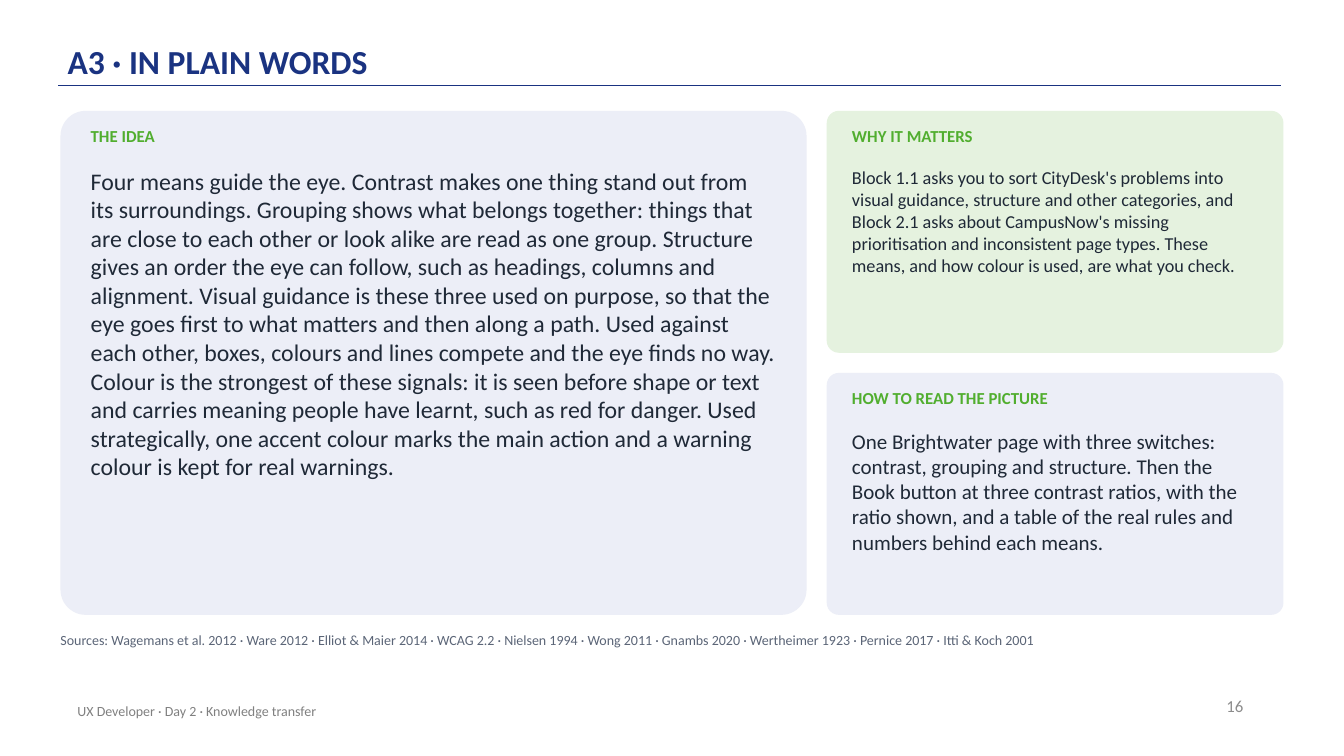
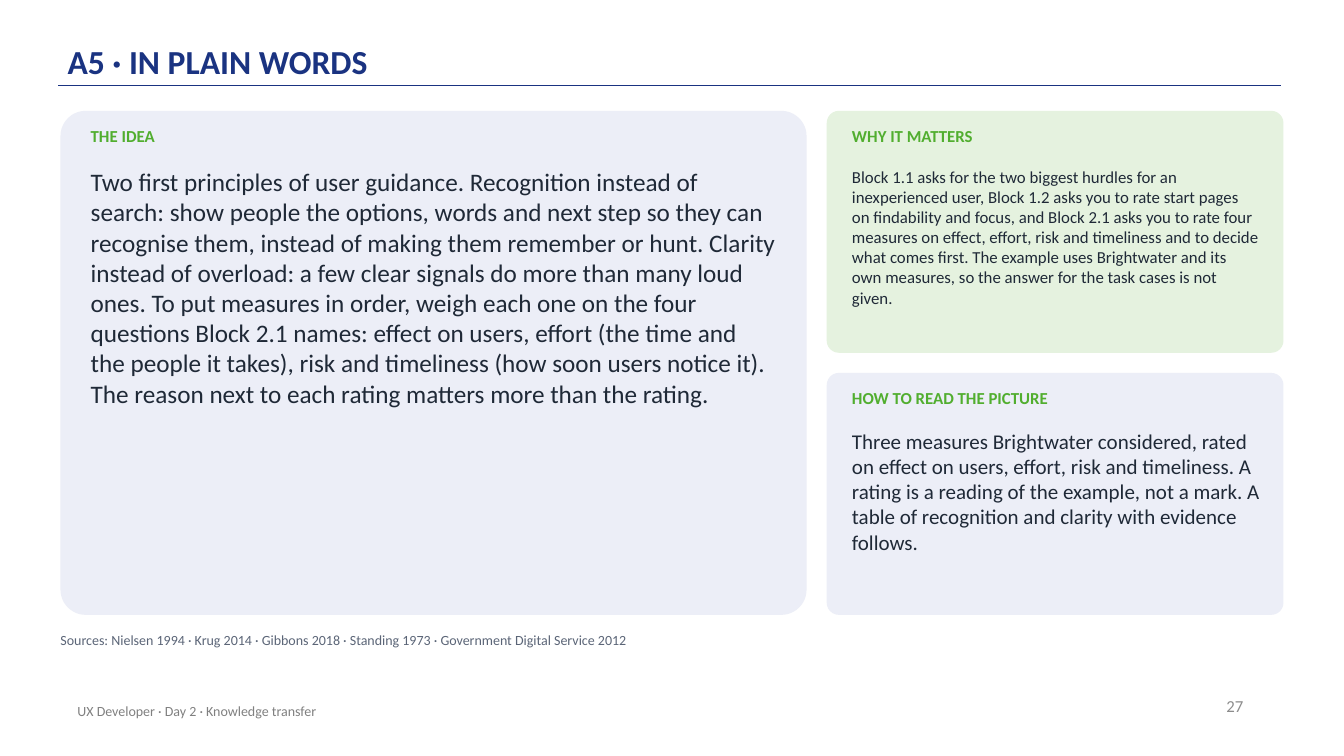
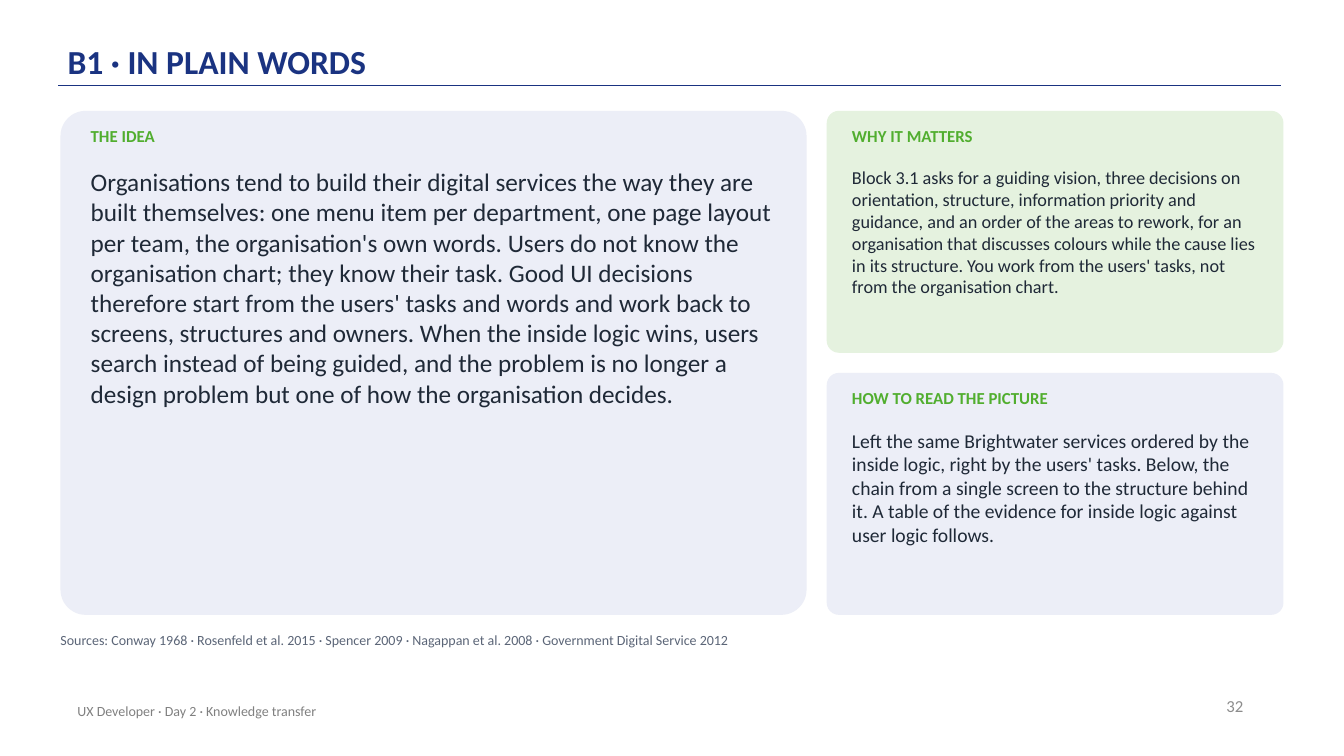
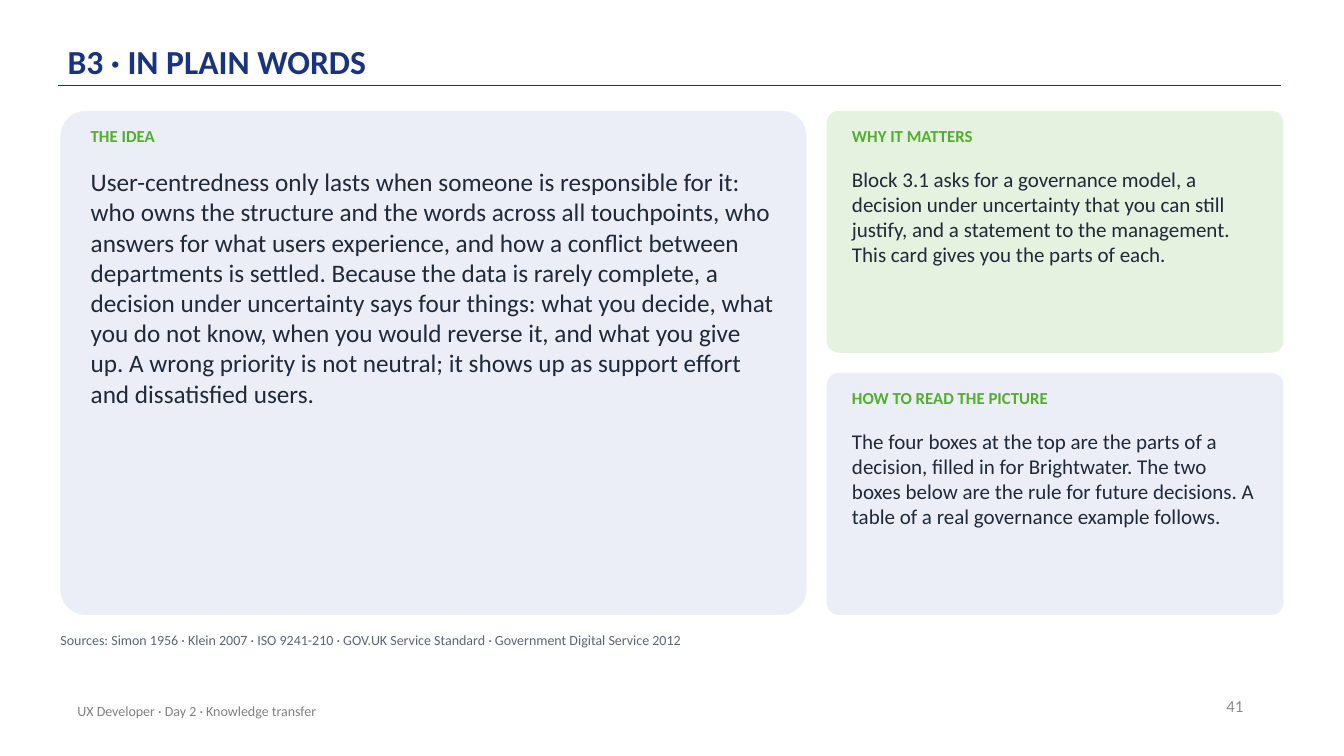
"""Build the four "in plain words" cards of the UX Developer deck."""
from pptx import Presentation
from pptx.dml.color import RGBColor as Rgb
from pptx.enum.shapes import MSO_CONNECTOR as Line, MSO_SHAPE as Kind
from pptx.enum.text import MSO_ANCHOR as Anchor, MSO_AUTO_SIZE as Auto, PP_ALIGN as Align
from pptx.oxml.ns import qn
from pptx.util import Inches, Pt
from lxml.etree import SubElement

FONT = "Calibri"
HEX = {"navy": "1A3381", "green": "51AE2F", "ink": "1F2937", "slate": "5B6577",
       "page": "8C8C8C", "foot": "808080", "mist": "ECEEF7", "mint": "E5F2DF"}
FOOTER = "UX Developer · Day 2 · Knowledge transfer"

SLIDES = [
    {"code": "A3", "page": 16, "sizes": (17, 13, 15), "texts": (
        "Four means guide the eye. Contrast makes one thing stand out from its surroundings. "
        "Grouping shows what belongs together: things that are close to each other or look alike "
        "are read as one group. Structure gives an order the eye can follow, such as headings, "
        "columns and alignment. Visual guidance is these three used on purpose, so that the eye "
        "goes first to what matters and then along a path. Used against each other, boxes, colours "
        "and lines compete and the eye finds no way. Colour is the strongest of these signals: it "
        "is seen before shape or text and carries meaning people have learnt, such as red for "
        "danger. Used strategically, one accent colour marks the main action and a warning colour "
        "is kept for real warnings.",
        "Block 1.1 asks you to sort CityDesk's problems into visual guidance, structure and other "
        "categories, and Block 2.1 asks about CampusNow's missing prioritisation and inconsistent "
        "page types. These means, and how colour is used, are what you check.",
        "One Brightwater page with three switches: contrast, grouping and structure. Then the Book "
        "button at three contrast ratios, with the ratio shown, and a table of the real rules and "
        "numbers behind each means."),
     "refs": ("Wagemans et al. 2012", "Ware 2012", "Elliot & Maier 2014", "WCAG 2.2",
              "Nielsen 1994", "Wong 2011", "Gnambs 2020", "Wertheimer 1923", "Pernice 2017",
              "Itti & Koch 2001")},
    {"code": "A5", "page": 27, "sizes": (18, 12, 15), "texts": (
        "Two first principles of user guidance. Recognition instead of search: show people the "
        "options, words and next step so they can recognise them, instead of making them remember "
        "or hunt. Clarity instead of overload: a few clear signals do more than many loud ones. To "
        "put measures in order, weigh each one on the four questions Block 2.1 names: effect on "
        "users, effort (the time and the people it takes), risk and timeliness (how soon users "
        "notice it). The reason next to each rating matters more than the rating.",
        "Block 1.1 asks for the two biggest hurdles for an inexperienced user, Block 1.2 asks you "
        "to rate start pages on findability and focus, and Block 2.1 asks you to rate four "
        "measures on effect, effort, risk and timeliness and to decide what comes first. The "
        "example uses Brightwater and its own measures, so the answer for the task cases is not "
        "given.",
        "Three measures Brightwater considered, rated on effect on users, effort, risk and "
        "timeliness. A rating is a reading of the example, not a mark. A table of recognition and "
        "clarity with evidence follows."),
     "refs": ("Nielsen 1994", "Krug 2014", "Gibbons 2018", "Standing 1973",
              "Government Digital Service 2012")},
    {"code": "B1", "page": 32, "sizes": (18, 13, 14), "texts": (
        "Organisations tend to build their digital services the way they are built themselves: one "
        "menu item per department, one page layout per team, the organisation's own words. Users "
        "do not know the organisation chart; they know their task. Good UI decisions therefore "
        "start from the users' tasks and words and work back to screens, structures and owners. "
        "When the inside logic wins, users search instead of being guided, and the problem is no "
        "longer a design problem but one of how the organisation decides.",
        "Block 3.1 asks for a guiding vision, three decisions on orientation, structure, "
        "information priority and guidance, and an order of the areas to rework, for an "
        "organisation that discusses colours while the cause lies in its structure. You work from "
        "the users' tasks, not from the organisation chart.",
        "Left the same Brightwater services ordered by the inside logic, right by the users' "
        "tasks. Below, the chain from a single screen to the structure behind it. A table of the "
        "evidence for inside logic against user logic follows."),
     "refs": ("Conway 1968", "Rosenfeld et al. 2015", "Spencer 2009", "Nagappan et al. 2008",
              "Government Digital Service 2012")},
    {"code": "B3", "page": 41, "sizes": (18, 15, 15), "texts": (
        "User-centredness only lasts when someone is responsible for it: who owns the structure "
        "and the words across all touchpoints, who answers for what users experience, and how a "
        "conflict between departments is settled. Because the data is rarely complete, a decision "
        "under uncertainty says four things: what you decide, what you do not know, when you would "
        "reverse it, and what you give up. A wrong priority is not neutral; it shows up as support "
        "effort and dissatisfied users.",
        "Block 3.1 asks for a governance model, a decision under uncertainty that you can still "
        "justify, and a statement to the management. This card gives you the parts of each.",
        "The four boxes at the top are the parts of a decision, filled in for Brightwater. The two "
        "boxes below are the rule for future decisions. A table of a real governance example "
        "follows."),
     "refs": ("Simon 1956", "Klein 2007", "ISO 9241-210", "GOV.UK Service Standard",
              "Government Digital Service 2012")},
]

LEFT, TOP, GAP = 0.6, 1.1, 0.2
WIDE, SLIM, TALL = 7.4, 4.53, 5
HALF = (TALL - GAP) / 2
SIDE = LEFT + WIDE + GAP
CARDS = [
    ("THE IDEA", "mist", (LEFT, TOP, WIDE, TALL), 0.3, 6.8),
    ("WHY IT MATTERS", "mint", (SIDE, TOP, SLIM, HALF), 0.25, 4.05),
    ("HOW TO READ THE PICTURE", "mist", (SIDE, TOP + HALF + GAP, SLIM, HALF), 0.25, 4.05),
]

FLUSH = {"margin_left": 0, "margin_right": 0, "margin_top": 0, "margin_bottom": 0}
PLAIN = {"frame": {**FLUSH, "auto_size": Auto.SHAPE_TO_FIT_TEXT}, "para": {"space_after": Pt(6)}}
MID = {"vertical_anchor": Anchor.MIDDLE}
STYLES = {
    "title": {"size": 24, "hue": "navy", "bold": True, "para": {"line_spacing": 0.9},
              "frame": {**FLUSH, "margin_top": Inches(0.03), "margin_bottom": Inches(0.03),
                        "vertical_anchor": Anchor.BOTTOM}},
    "page": {"size": 12, "hue": "page", "frame": MID, "para": {"alignment": Align.RIGHT}},
    "foot": {"size": 10, "hue": "foot", "frame": MID, "para": {}},
    "head": {"size": 12, "hue": "green", "bold": True, **PLAIN},
    "body": {"hue": "ink", **PLAIN},
    "refs": {"size": 10, "hue": "slate", **PLAIN},
}


def rgb(hue):
    """Look up a palette colour."""
    return Rgb.from_string(HEX[hue])


def assign(item, values):
    """Set every attribute named in a dict."""
    for key, value in values.items():
        setattr(item, key, value)


def write(slide, text, box, name, size=None):
    """Add a text box in a named style."""
    style = STYLES[name]
    frame = slide.shapes.add_textbox(*map(Inches, box)).text_frame
    assign(frame, {"word_wrap": True, **style["frame"]})
    para = frame.paragraphs[0]
    assign(para, {"text": text, **style["para"]})
    font = para.runs[0].font
    assign(font, {"name": FONT, "size": Pt(size or style["size"]),
                  "bold": style.get("bold", False)})
    font.color.rgb = rgb(style["hue"])


def frame_slide(slide, data):
    """Add the title, its rule, the page number and the footer."""
    rule = slide.shapes.add_connector(
        Line.STRAIGHT, *map(Inches, (0.58, 0.85, 12.71, 0.85)))
    rule.line.color.rgb = rgb("navy")
    rule.line.width = Pt(1)
    SubElement(rule._element.spPr, qn("a:effectLst"))
    write(slide, f"{data['code']} · IN PLAIN WORDS", (0.67, 0.12, 11, 0.72), "title")
    write(slide, str(data["page"]), (9.43, 6.8, 3, 0.4), "page")
    write(slide, FOOTER, (0.67, 6.85, 6.7, 0.4), "foot")


def add_card(slide, card, text, size):
    """Add a rounded panel with a heading and a paragraph."""
    head, hue, box, pad, span = card
    panel = slide.shapes.add_shape(Kind.ROUNDED_RECTANGLE, *map(Inches, box))
    panel.adjustments[0] = 0.05
    panel.shadow.inherit = False
    panel.fill.solid()
    panel.fill.fore_color.rgb = rgb(hue)
    panel.line.fill.background()
    x, y, _, high = box
    write(slide, head, (x + pad, y + 0.15, span, 0.35), "head")
    write(slide, text, (x + pad, y + 0.55, span, high - 0.65), "body", size)


def main():
    """Build and save the deck."""
    deck = Presentation()
    assign(deck, {"slide_width": Inches(13.33), "slide_height": Inches(7.5)})
    for data in SLIDES:
        slide = deck.slides.add_slide(deck.slide_layouts[6])
        frame_slide(slide, data)
        for card, text, size in zip(CARDS, data["texts"], data["sizes"]):
            add_card(slide, card, text, size)
        write(slide, "Sources: " + " · ".join(data["refs"]), (LEFT, 6.27, 12.1, 0.3), "refs")
    deck.save("out.pptx")


if __name__ == "__main__":
    main()
